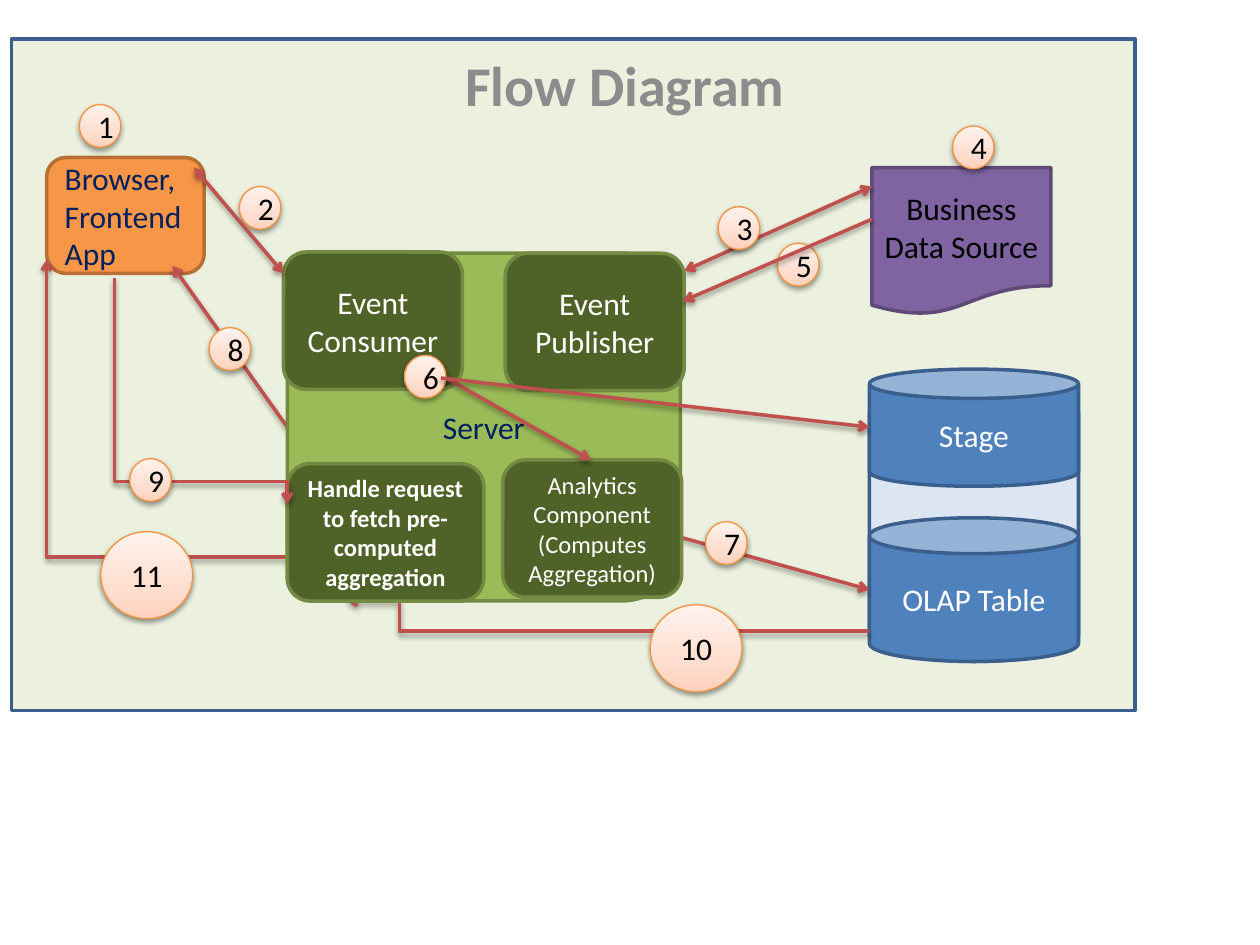
from copy import deepcopy

from lxml import etree
from pptx import Presentation
from pptx import util as u
from pptx.dml.color import RGBColor
from pptx.enum import shapes, text
from pptx.oxml.ns import qn

KIND = shapes.MSO_SHAPE
FONT = "Calibri"
ARROW_COLOR = "C0504D"
NAVY, WHITE, BLACK = "002060", "FFFFFF", "000000"
BLUE_EDGE, GREEN_EDGE = "3A5F8C", "738A42"
BADGE_STOPS = [(0, "FFD2BD"), (0.35, "FFDED0"), (1, "FFF2ED")]

TITLE = ("Flow Diagram", (0.25, 0.35, 9.42, 0.6), 32, "8C8C8C")

# kind, (left, top, width, height), fill, edge, wording, size, colour, bold
STORES = [
    (KIND.RECTANGLE, (0.09, 0.31, 8.92, 5.33), "EBF1DE", BLUE_EDGE, "", 18, BLACK, False),
    (KIND.ROUNDED_RECTANGLE, (0.37, 1.25, 1.25, 0.92), "F79646", "B76F34",
     "Browser, Frontend App", 18, NAVY, False),
    (KIND.FLOWCHART_DOCUMENT, (6.92, 1.33, 1.42, 1.17), "8064A2", "5F4A78",
     "Business Data Source", 18, BLACK, False),
    (KIND.CAN, (6.9, 3.07, 1.66, 2.18), "DCE6F2", BLUE_EDGE, "", 18, WHITE, False),
    (KIND.CAN, (6.9, 2.93, 1.66, 0.93), "4F81BD", BLUE_EDGE, "Stage", 18, WHITE, False),
    (KIND.CAN, (6.9, 4.11, 1.66, 1.14), "4F81BD", BLUE_EDGE, "OLAP Table", 18, WHITE, False),
]
SERVER = [
    (KIND.ROUNDED_RECTANGLE, place, fill, GREEN_EDGE, wording, size, color, bold)
    for place, fill, wording, size, color, bold in [
        ((2.28, 2.01, 3.12, 2.76), "9BBB59", "Server", 18, NAVY, False),
        ((2.25, 2, 1.42, 1.09), "4F6228", "Event Consumer", 18, WHITE, False),
        ((4.01, 2.01, 1.42, 1.09), "4F6228", "Event Publisher", 18, WHITE, False),
        ((2.28, 3.68, 1.56, 1.09), "4F6228",
         "Handle request to fetch pre-computed aggregation", 14, WHITE, True),
        ((3.99, 3.65, 1.42, 1.09), "4F6228",
         "Analytics Component (Computes Aggregation)", 14, WHITE, False),
    ]
]

# start, end, then options: both (two heads), bend (share of the way), upright (starts vertically)
ARROWS_BEHIND_SERVER = [
    ((6.92, 1.48), (5.43, 2.15), {"both": True}),
    ((2.28, 3.39), (1.37, 2.11), {}),
    ((2.28, 4.48), (0.37, 2.06), {"bend": 0.025, "upright": True}),
    ((6.9, 5.01), (2.75, 4.77), {"bend": 0.899}),
    ((5.24, 4.22), (6.9, 4.68), {}),
]
ARROWS_BEHIND_BADGES = [
    ((3.54, 3), (4.69, 3.65), {}),
    ((0.91, 2.21), (2.28, 4), {"bend": 0.901, "upright": True}),
]
ARROWS_IN_FRONT = [
    ((1.54, 1.33), (2.25, 2.17), {"both": True}),
    ((6.92, 1.74), (5.42, 2.39), {}),
    ((3.5, 3), (6.9, 3.39), {}),
]

SMALL, LARGE = (0.33, 0.34), (0.73, 0.69)
BADGES = {1: (0.63, 0.83), 2: (1.9, 1.48), 3: (5.7, 1.64), 4: (7.56, 1), 5: (6.17, 1.93),
          6: (3.21, 2.82), 7: (5.6, 4.14), 8: (1.66, 2.6), 9: (1.03, 3.64),
          10: (5.16, 4.8), 11: (0.8, 4.22)}


def rgb(code):
    """Turn a hex string into a colour."""
    return RGBColor.from_string(code)


def inches(values):
    """Turn plain numbers into lengths."""
    return [u.Inches(value) for value in values]


def add_shadow(shape):
    """Give a shape or connector a soft shadow straight below it."""
    properties = shape._element.spPr
    for old in properties.findall(qn("a:effectLst")):
        properties.remove(old)
    effects = etree.SubElement(properties, qn("a:effectLst"))
    shadow = etree.SubElement(effects, qn("a:outerShdw"), blurRad=str(u.Pt(3.1)),
                              dist=str(u.Pt(1.6)), dir="5400000", rotWithShape="0")
    color = etree.SubElement(shadow, qn("a:srgbClr"), val=BLACK)
    etree.SubElement(color, qn("a:alpha"), val="38000")


def write(shape, wording, size, color, bold=False, align=text.PP_ALIGN.CENTER):
    """Put one styled paragraph into a shape."""
    frame = shape.text_frame
    frame.word_wrap = True
    para = frame.paragraphs[0]
    para.text = wording
    para.alignment = align
    para.font.name, para.font.size, para.font.bold = FONT, u.Pt(size), bold
    para.font.color.rgb = rgb(color)


def add_box(page, kind, place, fill, edge, wording, size, color, bold):
    """Add a filled shape with its label."""
    box = page.shapes.add_shape(kind, *inches(place))
    box.shadow.inherit = False
    box.fill.solid()
    box.fill.fore_color.rgb = rgb(fill)
    box.line.color.rgb = rgb(edge)
    box.line.width = u.Pt(2)
    if wording:
        left = wording.startswith("Browser")
        write(box, wording, size, color, bold,
              text.PP_ALIGN.LEFT if left else text.PP_ALIGN.CENTER)
        box.text_frame.vertical_anchor = text.MSO_ANCHOR.MIDDLE


def add_badge(page, number, corner):
    """Add a numbered step circle."""
    size = SMALL if number < 10 else LARGE
    badge = page.shapes.add_shape(KIND.OVAL, *inches(corner + size))
    badge.fill.gradient()
    badge.fill.gradient_angle = 90
    stop_list = badge._element.spPr.find(".//" + qn("a:gsLst"))
    stop_list.append(deepcopy(stop_list[0]))
    for stop, (position, color) in zip(badge.fill.gradient_stops, BADGE_STOPS):
        stop.position = position
        stop.color.rgb = rgb(color)
    badge.line.color.rgb = rgb("F69240")
    badge.line.width = u.Pt(0.75)
    add_shadow(badge)
    write(badge, str(number), 18, BLACK)
    badge.text_frame.vertical_anchor = text.MSO_ANCHOR.MIDDLE


def add_arrow(page, start, end, both=False, bend=None, upright=False):
    """Add a straight or bent arrow; an upright one is drawn a quarter turn round."""
    (x1, y1), (x2, y2) = start, end
    if upright:
        middle_x, middle_y = (x1 + x2) / 2, (y1 + y2) / 2
        half_x, half_y = (y2 - y1) / 2, (x2 - x1) / 2
        x1, y1 = middle_x + half_x, middle_y - half_y
        x2, y2 = middle_x - half_x, middle_y + half_y
    kind = shapes.MSO_CONNECTOR.STRAIGHT if bend is None else shapes.MSO_CONNECTOR.ELBOW
    arrow = page.shapes.add_connector(kind, *inches((x1, y1, x2, y2)))
    properties = arrow._element.spPr
    if upright:
        properties.find(qn("a:xfrm")).set("rot", str(270 * 60000))
    if bend is not None:
        guides = properties.find(qn("a:prstGeom")).get_or_add_avLst()
        etree.SubElement(guides, qn("a:gd"), name="adj1", fmla=f"val {round(bend * 100000)}")
    arrow.line.color.rgb = rgb(ARROW_COLOR)
    arrow.line.width = u.Pt(2)
    outline = properties.find(qn("a:ln"))
    for tag in ["a:headEnd", "a:tailEnd"] if both else ["a:tailEnd"]:
        etree.SubElement(outline, qn(tag), type="arrow")
    add_shadow(arrow)


def add_arrows(page, arrows):
    """Add a list of arrows."""
    for start, end, options in arrows:
        add_arrow(page, start, end, **options)


deck = Presentation()
deck.slide_width, deck.slide_height = inches((10, 7.5))
page = deck.slides.add_slide(deck.slide_layouts[6])

for store in STORES:
    add_box(page, *store)
wording, place, size, color = TITLE
write(page.shapes.add_textbox(*inches(place)), wording, size, color, bold=True)
add_arrows(page, ARROWS_BEHIND_SERVER)
for part in SERVER:
    add_box(page, *part)
add_arrows(page, ARROWS_BEHIND_BADGES)
for number, corner in BADGES.items():
    add_badge(page, number, corner)
add_arrows(page, ARROWS_IN_FRONT)

deck.save("out.pptx")
